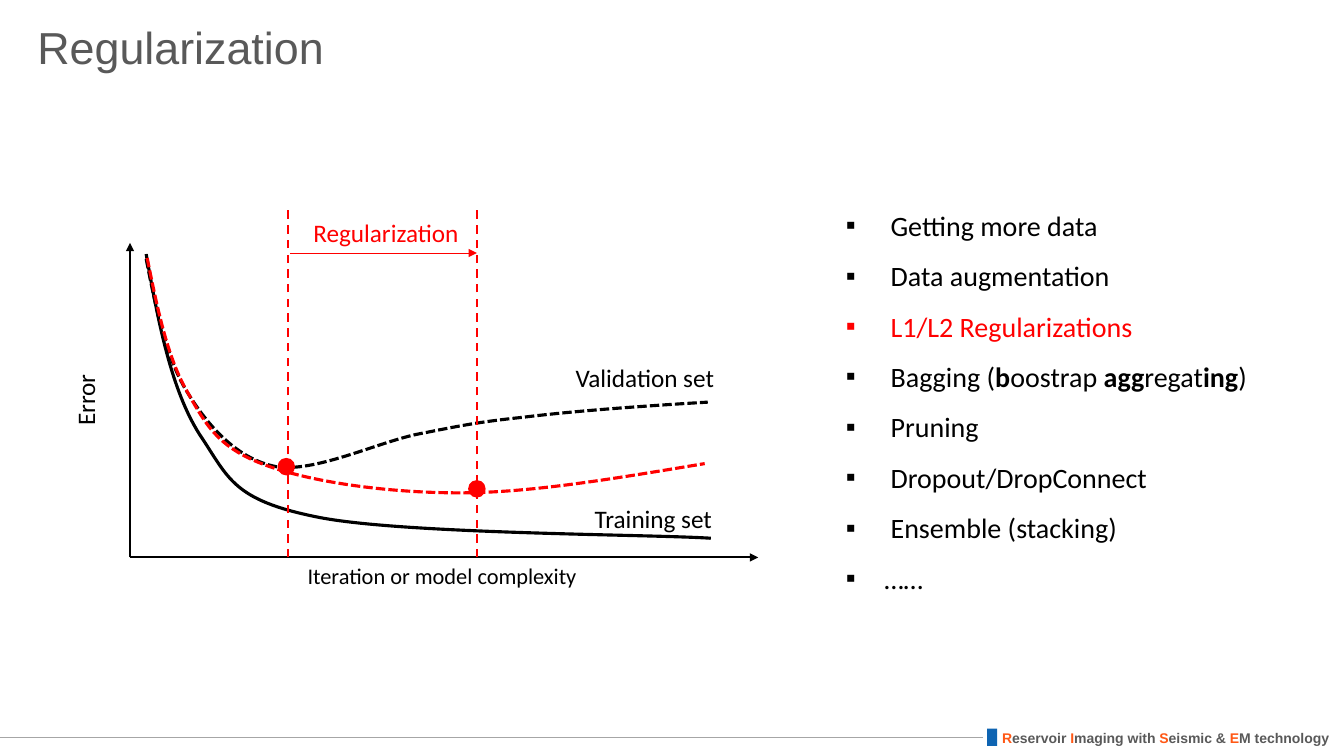
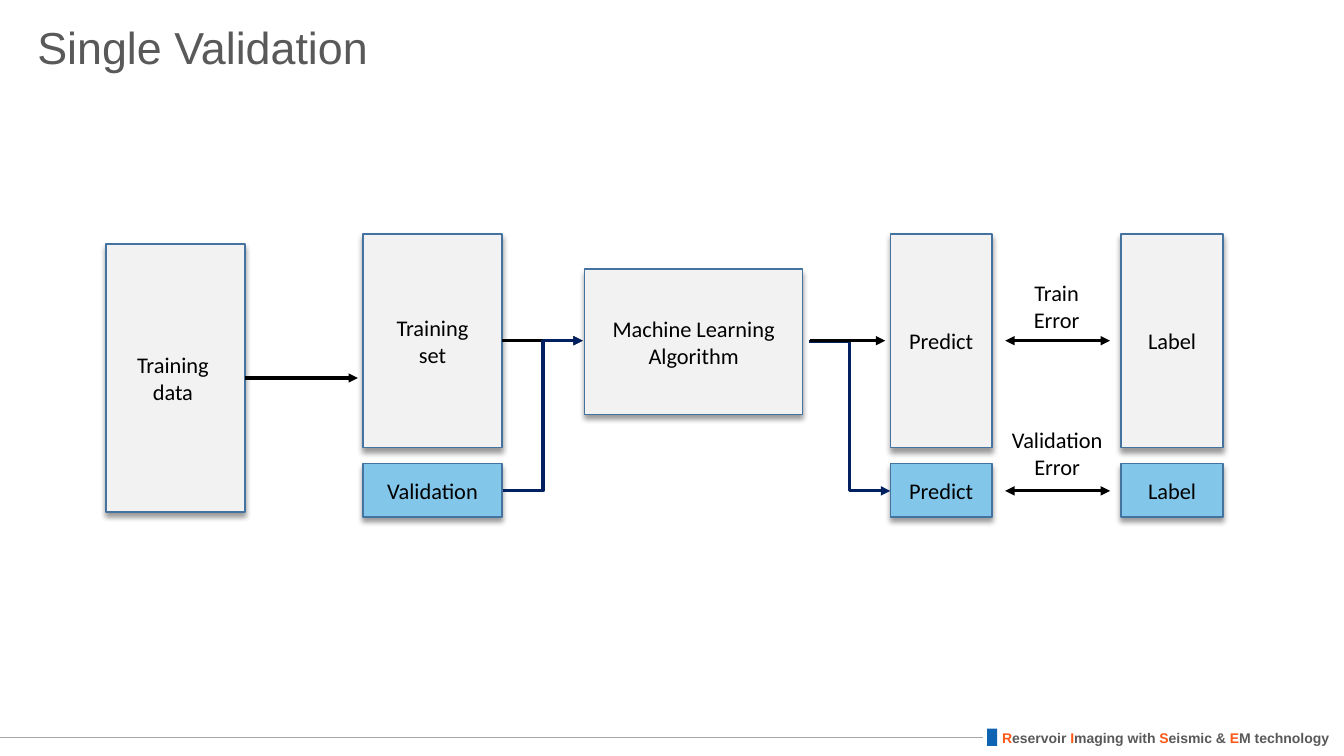
import dataclasses

import lxml.etree
import pptx
import pptx.dml.color
import pptx.enum.dml
import pptx.enum.shapes
import pptx.enum.text
import pptx.oxml.ns
import pptx.util

Inches = pptx.util.Inches
Pt = pptx.util.Pt
qn = pptx.oxml.ns.qn
ALIGN = pptx.enum.text.PP_ALIGN
ANCHOR = pptx.enum.text.MSO_ANCHOR
SHAPE = pptx.enum.shapes.MSO_SHAPE
CONNECTOR = pptx.enum.shapes.MSO_CONNECTOR
DASH = pptx.enum.dml.MSO_LINE


@dataclasses.dataclass(frozen=True)
class Theme:
    black: str = "000000"
    red: str = "FF0000"
    gray: str = "595959"
    orange: str = "FF5815"
    blue: str = "0E64B2"
    navy: str = "002060"
    rule: str = "A6A6A6"
    box_fill: str = "F2F2F2"
    box_accent: str = "82C7EA"
    box_line: str = "43739E"
    heading_font: str = "Arial"
    body_font: str = "Calibri"
    title_size: int = 32
    list_size: int = 20
    label_size: int = 18
    text_size: int = 16
    footer_size: int = 10


THEME = Theme()


# Formatting helpers
def apply(target, values):
    for name, value in values.items():
        setattr(target, name, value)


def rgb(color):
    return pptx.dml.color.RGBColor.from_string(color)


def set_fill(shape, color):
    shape.fill.solid()
    shape.fill.fore_color.rgb = rgb(color)


def set_line(shape, color, width, dash=None):
    shape.line.color.rgb = rgb(color)
    shape.line.width = Pt(width)
    if dash:
        shape.line.dash_style = dash


def write(para, spans, size, color=THEME.black, font=THEME.body_font, **layout):
    """Fill a paragraph; each span is (text, font overrides)."""
    apply(para, layout)
    for text, overrides in spans:
        span = para.add_run()
        span.text = text
        values = {"name": font, "size": Pt(size), "color": color, **overrides}
        span.font.color.rgb = rgb(values.pop("color"))
        apply(span.font, values)


def write_lines(frame, text, size, color=THEME.black, align=ALIGN.CENTER):
    for number, line in enumerate(text.split("\n")):
        para = frame.add_paragraph() if number else frame.paragraphs[0]
        write(para, [(line, {})], size, color, alignment=align)


# Element kinds
def add_label(page, area, text, size, color=THEME.black, align=ALIGN.LEFT):
    box = page.shapes.add_textbox(*map(Inches, area))
    box.text_frame.word_wrap = True
    write_lines(box.text_frame, text, size, color, align)
    return box


def add_line(page, start, end, color, width, dash=None, heads=(),
             kind=CONNECTOR.STRAIGHT):
    line = page.shapes.add_connector(kind, *map(Inches, (*start, *end)))
    set_line(line, color, width, dash)
    properties = line.element.spPr
    for head in heads:
        lxml.etree.SubElement(properties.find(qn("a:ln")), qn("a:" + head),
                              type="triangle")
    lxml.etree.SubElement(properties, qn("a:effectLst"))
    return line


def add_solid(page, kind, area, color):
    shape = page.shapes.add_shape(kind, *map(Inches, area))
    shape.shadow.inherit = False
    set_fill(shape, color)
    shape.line.fill.background()
    return shape


def add_block(page, area, text, color=THEME.box_fill):
    block = add_solid(page, SHAPE.RECTANGLE, area, color)
    set_line(block, THEME.box_line, 1)
    effects = block.element.spPr.find(qn("a:effectLst"))
    shadow = lxml.etree.SubElement(
        effects, qn("a:outerShdw"), blurRad=str(Pt(4)), dist=str(Pt(3)),
        dir="5400000", algn="t", rotWithShape="0")
    tint = lxml.etree.SubElement(shadow, qn("a:srgbClr"), val=THEME.black)
    lxml.etree.SubElement(tint, qn("a:alpha"), val="40000")
    block.text_frame.vertical_anchor = ANCHOR.MIDDLE
    write_lines(block.text_frame, text, THEME.text_size)
    return block


def add_curve(page, start, segments, color, dash=None):
    """Draw a chain of cubic curves given as flat (x1, y1, x2, y2, x, y)."""
    builder = page.shapes.build_freeform(*map(Inches, start))
    builder.add_line_segments(
        [tuple(map(Inches, segment[4:])) for segment in segments], close=False)
    curve = builder.convert_to_shape()
    # Turn each straight segment into a cubic one with its control points
    straights = list(curve.element.iter(qn("a:lnTo")))
    for straight, segment in zip(straights, segments):
        straight.tag = qn("a:cubicBezTo")
        for old_point in list(straight):
            straight.remove(old_point)
        for x, y in zip(segment[::2], segment[1::2]):
            lxml.etree.SubElement(straight, qn("a:pt"),
                                  x=str(Inches(x) - curve.left),
                                  y=str(Inches(y) - curve.top))
    curve.shadow.inherit = False
    curve.fill.background()
    set_line(curve, color, 2.25, dash)


def place(placeholder, area, **frame_format):
    sides = ("left", "top", "width", "height")
    apply(placeholder, dict(zip(sides, map(Inches, area))))
    apply(placeholder.text_frame,
          {"auto_size": pptx.enum.text.MSO_AUTO_SIZE.NONE, "word_wrap": True,
           **frame_format})


def add_bulleted(frame, number, spans, color):
    para = frame.add_paragraph() if number else frame.paragraphs[0]
    properties = para._p.get_or_add_pPr()
    indent = Inches(0.38)
    for name, value in {"marL": indent, "indent": -indent}.items():
        properties.set(name, str(value))
    lxml.etree.SubElement(properties, qn("a:buFont"), typeface="Arial")
    lxml.etree.SubElement(properties, qn("a:buChar"), char="▪")
    write(para, spans, THEME.list_size, color, line_spacing=1.5,
          space_before=Pt(0), alignment=ALIGN.LEFT)


# Shared parts
def add_page(deck, layout, title):
    page = deck.slides.add_slide(deck.slide_layouts[layout])
    heading = page.shapes.title
    place(heading, (0.27, 0.13, 11.5, 0.73), vertical_anchor=ANCHOR.MIDDLE)
    write(heading.text_frame.paragraphs[0], [(title, {})], THEME.title_size,
          THEME.gray, THEME.heading_font, alignment=ALIGN.LEFT,
          line_spacing=0.9)
    return page


def add_master_footer(deck, page):
    """Draw the footer once and move it to the slide master."""
    credit = page.shapes.add_textbox(*map(Inches, (9.84, 7.19, 3.48, 0.27)))
    credit.text_frame.word_wrap = False
    words = (("R", "eservoir "), ("I", "maging with "),
             ("S", "eismic & "), ("E", "M technology"))
    spans = [(text, {"color": color, "bold": True}) for pair in words
             for text, color in zip(pair, (THEME.orange, THEME.gray))]
    write(credit.text_frame.paragraphs[0], spans, THEME.footer_size,
          font=THEME.heading_font)
    rule = add_line(page, (9.75, 7.32), (0, 7.32), THEME.rule, 0.5)
    marker = add_solid(page, SHAPE.RECTANGLE, (9.79, 7.23, 0.1, 0.17), THEME.blue)
    for number, shape in enumerate((credit, rule, marker), start=101):
        shape.element.xpath(".//p:cNvPr")[0].set("id", str(number))
        deck.slide_master.shapes.element.append(shape.element)


# Slide 1
def draw_error_plot(page):
    origin = (1.29, 5.53)
    for end in ((7.52, 5.53), (1.29, 2.41)):
        add_line(page, origin, end, THEME.black, 1.5, heads=["tailEnd"])
    add_label(page, (1.72, 5.53, 5.33, 0.5), "Iteration or model complexity",
              THEME.text_size, align=ALIGN.CENTER)
    axis_name = add_label(page, (-0.46, 3.7, 2.75, 0.54), "Error",
                          THEME.label_size, align=ALIGN.CENTER)
    axis_name.rotation = 270

    # Training and validation errors
    add_curve(page, (1.45, 2.52), [
        (1.57, 3.2, 1.7, 3.87, 1.98, 4.31),
        (2.27, 4.74, 2.3, 4.96, 3.15, 5.13),
        (3.99, 5.3, 6.47, 5.3, 7.05, 5.34)], THEME.black)
    add_curve(page, (1.45, 2.57), [
        (1.55, 3.07, 1.65, 3.57, 1.87, 3.91),
        (2.08, 4.25, 2.37, 4.56, 2.74, 4.63),
        (3.12, 4.69, 3.72, 4.4, 4.13, 4.31),
        (4.54, 4.23, 4.71, 4.19, 5.19, 4.14),
        (5.67, 4.08, 6.35, 4.03, 7.02, 3.99)], THEME.black, DASH.SQUARE_DOT)
    add_label(page, (5.8, 4.94, 2.34, 0.54), "Training set", THEME.label_size)
    add_label(page, (5.61, 3.55, 2.34, 0.54), "Validation set", THEME.label_size)

    # Effect of regularization
    add_curve(page, (1.46, 2.56), [
        (1.56, 3.05, 1.66, 3.55, 1.86, 3.89),
        (2.05, 4.23, 2.17, 4.44, 2.62, 4.61),
        (3.07, 4.78, 3.83, 4.89, 4.56, 4.89),
        (5.28, 4.89, 6.14, 4.74, 6.99, 4.6)], THEME.red, DASH.SQUARE_DOT)
    for guide_x, dot_x, dot_y in ((2.86, 2.76, 4.55), (4.73, 4.65, 4.77)):
        add_line(page, (guide_x, 5.53), (guide_x, 2.03), THEME.red, 1.5, DASH.DASH)
        dot = add_solid(page, SHAPE.OVAL, (dot_x, dot_y, 0.16, 0.16), THEME.red)
        set_line(dot, THEME.red, 1)
    add_line(page, (2.88, 2.51), (4.73, 2.51), THEME.red, 0.5, heads=["tailEnd"])
    add_label(page, (3.01, 2.11, 1.8, 0.4), "Regularization",
              THEME.label_size, THEME.red)


def fill_method_list(page):
    body = page.placeholders[1]
    place(body, (8.29, 1.85, 4.9, 4.14), vertical_anchor=ANCHOR.TOP)
    bold = {"bold": True}
    bagging = [(" Bagging (", {}), ("b", bold), ("oostrap ", {}), ("agg", bold),
               ("regat", {}), ("ing", bold), (")", {})]
    highlight = " L1/L2 Regularizations"
    items = [" Getting more data", " Data augmentation", highlight, bagging,
             " Pruning", " Dropout/DropConnect", " Ensemble (stacking)", "……"]
    for number, item in enumerate(items):
        spans = [(item, {})] if isinstance(item, str) else item
        color = THEME.red if item == highlight else THEME.black
        add_bulleted(body.text_frame, number, spans, color)


# Slide 2
def draw_validation_flow(page):
    data = add_block(page, (1.05, 2.42, 1.38, 2.66), "Training \ndata ")
    columns = ((3.6, 1.38, "Training\nset", "Validation"),
               (8.83, 1.01, "Predict", "Predict"),
               (11.12, 1.01, "Label", "Label"))
    upper = []
    for left, width, train_text, check_text in columns:
        upper.append(add_block(page, (left, 2.32, width, 2.12), train_text))
        add_block(page, (left, 4.6, width, 0.53), check_text, THEME.box_accent)

    # Validation route below the training route
    train_y, check_y = 3.38, 4.87
    add_line(page, (4.98, train_y), (5.78, train_y), THEME.black, 2.25,
             heads=["tailEnd"]).begin_connect(upper[0], 3)
    for start, end in (((4.99, check_y), (5.78, train_y)),
                       ((8.02, 3.39), (8.83, check_y))):
        add_line(page, start, end, THEME.navy, 2.25, heads=["tailEnd"],
                 kind=CONNECTOR.ELBOW)
    add_line(page, (8.03, train_y), (8.78, train_y), THEME.black, 2.25,
             heads=["tailEnd"])
    add_line(page, (2.43, 3.75), (3.55, 3.75), THEME.black, 2.25,
             heads=["tailEnd"]).begin_connect(data, 3)

    # Errors between prediction and label
    for y in (train_y, check_y):
        add_line(page, (9.97, y), (11.01, y), THEME.black, 2.25,
                 heads=["headEnd", "tailEnd"])
    for area, text in (((9.92, 2.72, 1.12, 0.64), "Train\nError"),
                       ((9.84, 4.18, 1.29, 0.64), "Validation\nError")):
        add_label(page, area, text, THEME.text_size, align=ALIGN.CENTER)
    add_block(page, (5.8, 2.67, 2.16, 1.44), "Machine Learning Algorithm")


def main():
    deck = pptx.Presentation()
    apply(deck, {"slide_width": Inches(13.33), "slide_height": Inches(7.5)})
    page = add_page(deck, 1, "Regularization")
    add_master_footer(deck, page)
    draw_error_plot(page)
    fill_method_list(page)
    draw_validation_flow(add_page(deck, 5, "Single Validation"))
    deck.save("out.pptx")


if __name__ == "__main__":
    main()
